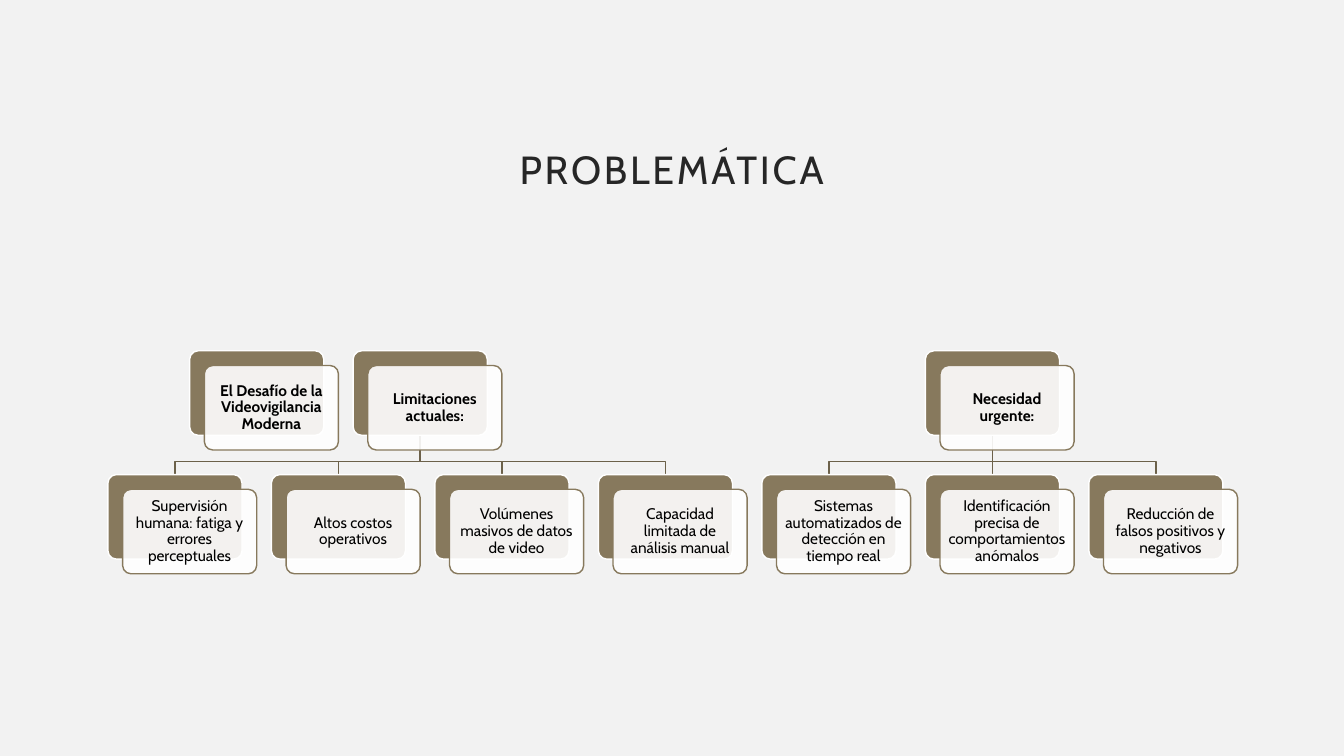
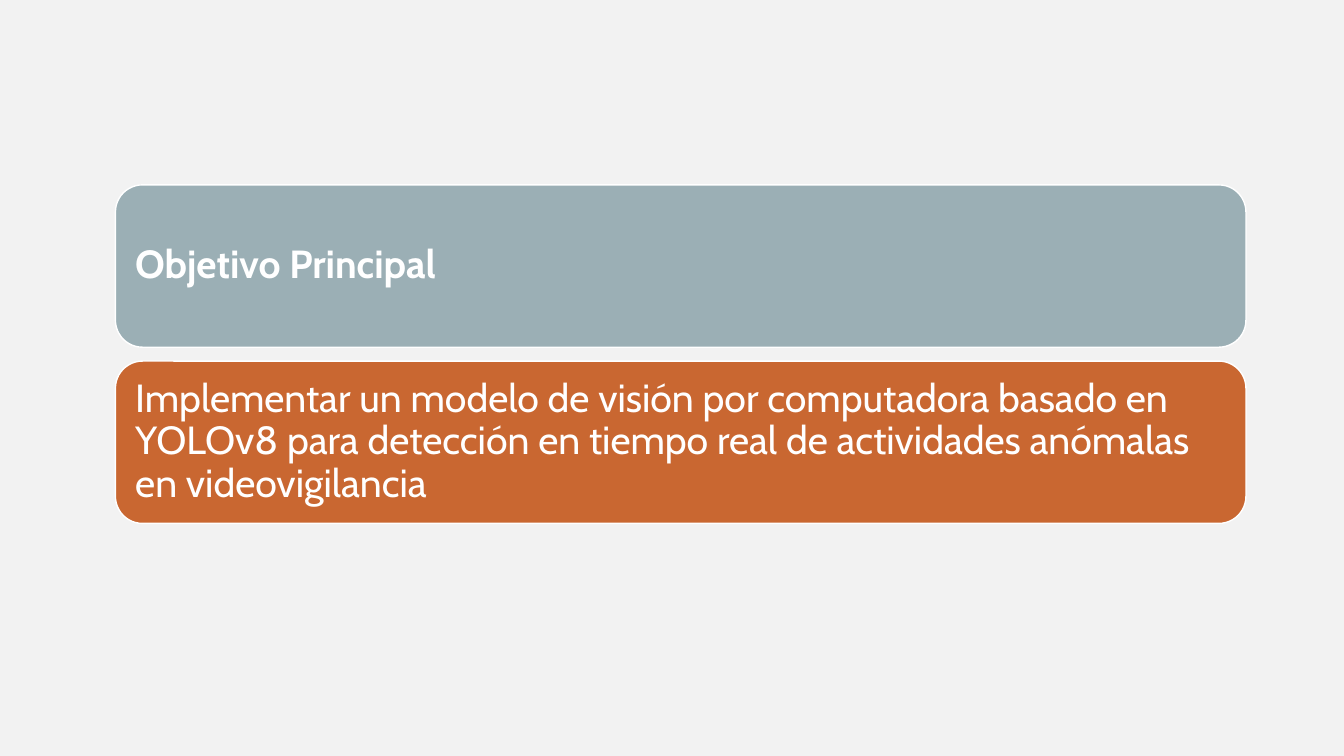
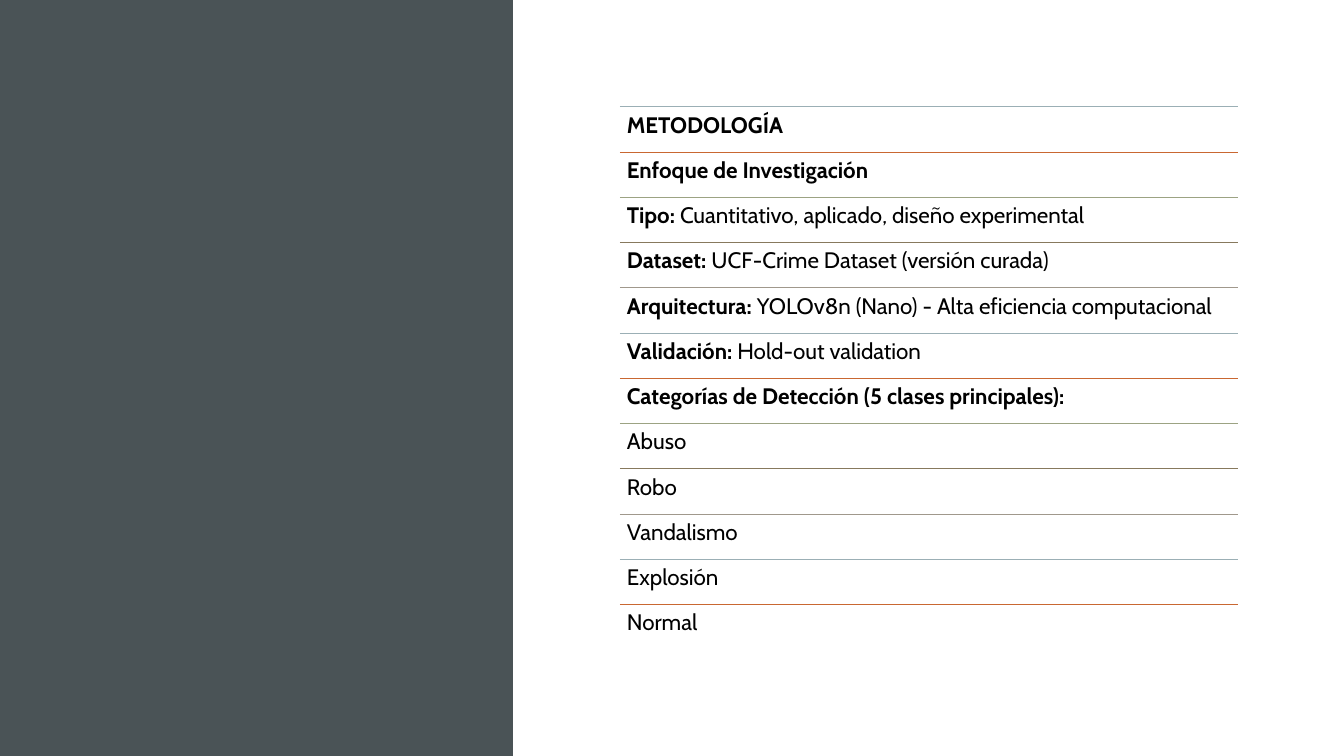
"""Build three slides on anomaly detection in video surveillance."""
from dataclasses import dataclass

from lxml.etree import SubElement
from pptx import Presentation
from pptx.dml.color import RGBColor
from pptx.enum.shapes import MSO_CONNECTOR, MSO_SHAPE
from pptx.enum.text import MSO_ANCHOR, MSO_AUTO_SIZE, PP_ALIGN
from pptx.oxml.ns import qn
from pptx.util import Cm, Pt

FONT = "Cabin"
COLORS = {
    "background": "F2F2F2", "white": "FFFFFF", "black": "000000", "title": "262626",
    "panel": "4A5356", "branch": "6C614A", "blue": "9BAFB5", "orange": "C96731",
    "green": "9CA383", "brown": "87795D", "taupe": "A0988C",
}
RULE_CYCLE = ("blue", "orange", "green", "brown", "taupe")

CARD_LEFT, CARD_PITCH = 2.72, 4.12
CARD_WIDTH, CARD_HEIGHT, CARD_OFFSET = 3.38, 2.13, 0.37
PARENT_TOP, CHILD_TOP, BRANCH_BEND = 8.84, 11.96, 11.63

BANNER_LEFT, BANNER_TOP, BANNER_PITCH = 2.91, 4.66, 4.44
BANNER_WIDTH, BANNER_HEIGHT = 28.49, 4.09

ROW_LEFT, ROW_TOP, ROW_WIDTH, ROW_PITCH = 15.62, 2.69, 15.57, 1.14


@dataclass(frozen=True)
class Topic:
    column: float
    heading: str
    first_child: int = 0
    children: tuple[str, ...] = ()


@dataclass(frozen=True)
class Banner:
    text: str
    color: str
    bold: bool = False


@dataclass(frozen=True)
class Row:
    label: str = ""
    detail: str = ""


TOPICS = (
    Topic(0.5, "El Desafío de la Videovigilancia Moderna"),
    Topic(1.5, "Limitaciones actuales:", 0, (
        "Supervisión humana: fatiga y errores perceptuales",
        "Altos costos operativos",
        "Volúmenes masivos de datos de video",
        "Capacidad limitada de análisis manual",
    )),
    Topic(5, "Necesidad urgente:", 4, (
        "Sistemas automatizados de detección en tiempo real",
        "Identificación precisa de comportamientos anómalos",
        "Reducción de falsos positivos y negativos",
    )),
)
BANNERS = (
    Banner("Objetivo Principal", "blue", True),
    Banner("Implementar un modelo de visión por computadora basado en YOLOv8 para "
           "detección en tiempo real de actividades anómalas en videovigilancia", "orange"),
)
ROWS = (
    Row("METODOLOGÍA"),
    Row("Enfoque de Investigación"),
    Row("Tipo:", " Cuantitativo, aplicado, diseño experimental"),
    Row("Dataset:", " UCF-Crime Dataset (versión curada)"),
    Row("Arquitectura:", " YOLOv8n (Nano) - Alta eficiencia computacional"),
    Row("Validación:", " Hold-out validation"),
    Row("Categorías de Detección (5 clases principales):"),
    Row(detail="Abuso"),
    Row(detail="Robo"),
    Row(detail="Vandalismo"),
    Row(detail="Explosión"),
    Row(detail="Normal"),
)


def rgb(name: str) -> RGBColor:
    return RGBColor.from_string(COLORS[name])


def new_slide(deck, layout: int, background: str):
    slide = deck.slides.add_slide(deck.slide_layouts[layout])
    slide.background.fill.solid()
    slide.background.fill.fore_color.rgb = rgb(background)
    return slide


def write(shape, label: str, detail: str, size: float, color: str, margin: float,
          align=PP_ALIGN.LEFT, anchor=MSO_ANCHOR.MIDDLE) -> None:
    frame = shape.text_frame
    frame.word_wrap = True
    frame.auto_size = MSO_AUTO_SIZE.NONE
    frame.vertical_anchor = anchor
    frame.margin_left = frame.margin_right = Cm(margin)
    frame.margin_top = frame.margin_bottom = Cm(margin)
    paragraph = frame.paragraphs[0]
    paragraph.alignment = align
    paragraph.line_spacing = 0.9
    for text, bold in ((label, True), (detail, False)):
        if text:
            run = paragraph.add_run()
            run.text = text
            run.font.name = FONT
            run.font.size = Pt(size)
            run.font.bold = bold
            run.font.color.rgb = rgb(color)


def add_block(slide, kind, left: float, top: float, width: float, height: float,
              fill: str, outline: str | None = None):
    block = slide.shapes.add_shape(kind, Cm(left), Cm(top), Cm(width), Cm(height))
    block.shadow.inherit = False
    block.fill.solid()
    block.fill.fore_color.rgb = rgb(fill)
    if outline:
        block.line.color.rgb = rgb(outline)
        block.line.width = Pt(1)
    else:
        block.line.fill.background()
    return block


def add_rule(slide, start: tuple[float, float], end: tuple[float, float],
             color: str, width: float) -> None:
    rule = slide.shapes.add_connector(
        MSO_CONNECTOR.STRAIGHT, *(Cm(value) for value in start + end))
    rule.line.color.rgb = rgb(color)
    rule.line.width = Pt(width)
    SubElement(rule.element.find(qn("p:spPr")), qn("a:effectLst"))


def card_left(column: float) -> float:
    return CARD_LEFT + column * CARD_PITCH


def add_branch(slide, parent: float, child: float) -> None:
    start_x, end_x = (card_left(column) + CARD_WIDTH / 2 for column in (parent, child))
    start_y = PARENT_TOP + CARD_HEIGHT
    if parent == child:
        add_rule(slide, (start_x, start_y), (end_x, CHILD_TOP), "branch", 1)
        return
    outline = slide.shapes.build_freeform(Cm(start_x), Cm(start_y))
    corners = ((start_x, BRANCH_BEND), (end_x, BRANCH_BEND), (end_x, CHILD_TOP))
    outline.add_line_segments([(Cm(x), Cm(y)) for x, y in corners], close=False)
    branch = outline.convert_to_shape()
    branch.shadow.inherit = False
    branch.fill.background()
    branch.line.color.rgb = rgb("branch")
    branch.line.width = Pt(1)


def add_card(slide, column: float, top: float, heading: str = "", detail: str = "") -> None:
    left = card_left(column)
    back = add_block(slide, MSO_SHAPE.ROUNDED_RECTANGLE, left, top,
                     CARD_WIDTH, CARD_HEIGHT, "brown", "white")
    front = add_block(slide, MSO_SHAPE.ROUNDED_RECTANGLE, left + CARD_OFFSET,
                      top + CARD_OFFSET, CARD_WIDTH, CARD_HEIGHT, "white", "brown")
    for layer in (back, front):
        layer.adjustments[0] = 0.1
    fill_color = front.element.find(".//" + qn("a:srgbClr"))
    SubElement(fill_color, qn("a:alpha")).set("val", "90000")
    write(front, heading, detail, 11, "black", 0.13, PP_ALIGN.CENTER)


def build_problem(deck) -> None:
    slide = new_slide(deck, 5, "background")
    title = slide.shapes.title
    title.left, title.top, title.width, title.height = Cm(6.2), Cm(2.67), Cm(21.46), Cm(3.3)
    write(title, "", "PROBLEMÁTICA", 28, "title", 0.51, PP_ALIGN.CENTER)
    for properties in title.element.iter(qn("a:rPr")):
        properties.set("spc", "200")
    for topic in TOPICS:
        for column, _ in enumerate(topic.children, topic.first_child):
            add_branch(slide, topic.column, column)
    for topic in TOPICS:
        add_card(slide, topic.column, PARENT_TOP, heading=topic.heading)
        for column, child in enumerate(topic.children, topic.first_child):
            add_card(slide, column, CHILD_TOP, detail=child)


def build_objective(deck) -> None:
    slide = new_slide(deck, 6, "background")
    for index, banner in enumerate(BANNERS):
        block = add_block(slide, MSO_SHAPE.ROUNDED_RECTANGLE, BANNER_LEFT,
                          BANNER_TOP + index * BANNER_PITCH, BANNER_WIDTH, BANNER_HEIGHT,
                          banner.color, "white")
        label, detail = (banner.text, "") if banner.bold else ("", banner.text)
        write(block, label, detail, 28, "white", 0.3)


def build_methodology(deck) -> None:
    slide = new_slide(deck, 6, "white")
    add_block(slide, MSO_SHAPE.RECTANGLE, 0, 0, 12.93, 19.05, "panel")
    for index, row in enumerate(ROWS):
        top = ROW_TOP + index * ROW_PITCH
        add_rule(slide, (ROW_LEFT, top), (ROW_LEFT + ROW_WIDTH, top),
                 RULE_CYCLE[index % len(RULE_CYCLE)], 0.5)
        entry = slide.shapes.add_textbox(Cm(ROW_LEFT), Cm(top), Cm(ROW_WIDTH), Cm(ROW_PITCH))
        write(entry, row.label, row.detail, 16, "black", 0.18, anchor=MSO_ANCHOR.TOP)


def main() -> None:
    deck = Presentation()
    deck.slide_width, deck.slide_height = Cm(33.87), Cm(19.05)
    build_problem(deck)
    build_objective(deck)
    build_methodology(deck)
    deck.save("out.pptx")


if __name__ == "__main__":
    main()
